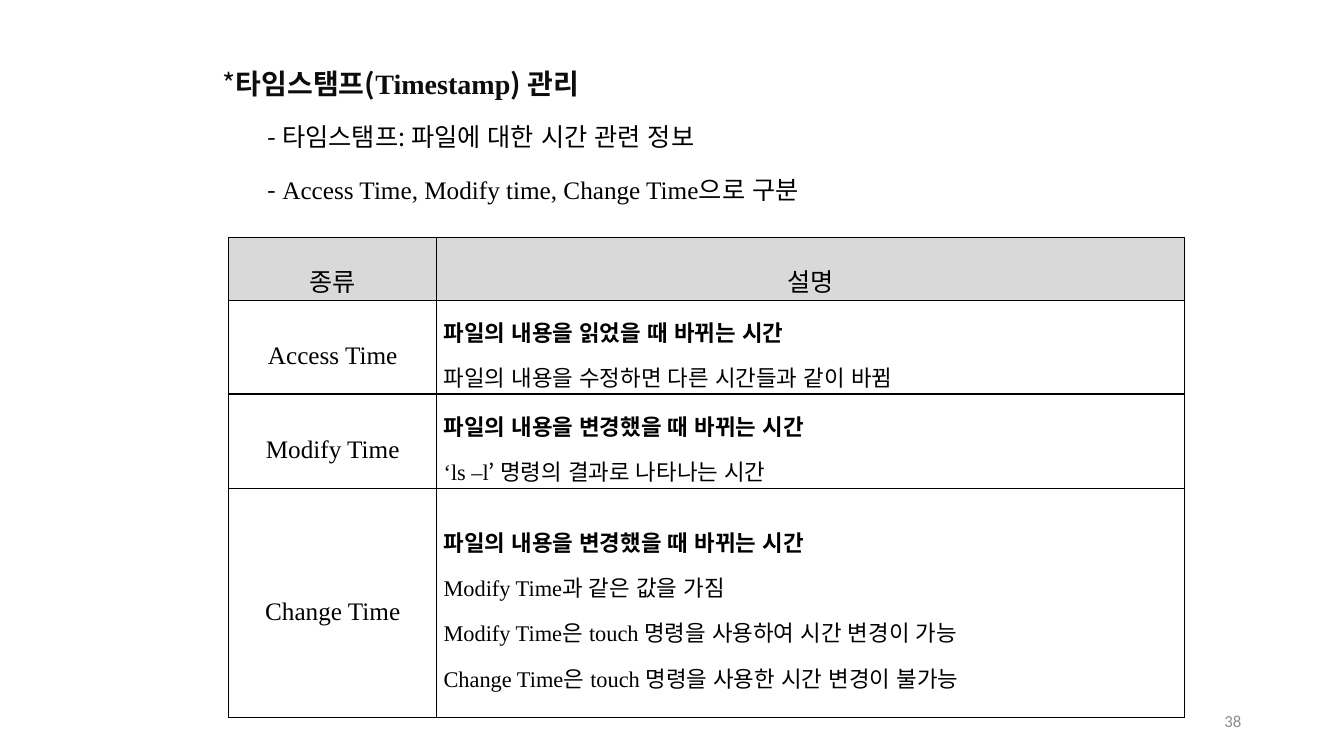
"""Build the timestamp management slide."""
import dataclasses
import typing

import lxml.etree
import pptx
import pptx.dml.color
import pptx.enum.lang
import pptx.enum.text
import pptx.oxml.ns
import pptx.util

PX = 9144
KOREAN, LATIN, NUMBER = "Noto Sans CJK KR", "Times New Roman", "Calibri"
ALIGN = pptx.enum.text.PP_ALIGN
MIDDLE = pptx.enum.text.MSO_ANCHOR.MIDDLE


@dataclasses.dataclass(frozen=True)
class Para:
    """A paragraph whose odd parts between bars use the Latin font."""
    text: str
    size: int
    bold: bool = False
    color: str = "000000"
    align: typing.Any = ALIGN.JUSTIFY
    spacing: float = 1.4
    before: int = 0
    indent: int = 0
    marker: str = ""
    font: str = KOREAN


@dataclasses.dataclass(frozen=True)
class Box:
    """A text box with its place in px."""
    left: int
    top: int
    width: int
    height: int
    paras: list[Para]
    anchor: typing.Any = pptx.enum.text.MSO_ANCHOR.TOP


@dataclasses.dataclass(frozen=True)
class TimeRow:
    """A table row with a kind, a bold summary and further details."""
    height: int
    kind: str
    summary: str
    details: list[str]


def px(n: int) -> int:
    """Turn px into EMU."""
    return pptx.util.Emu(n * PX)


def rgb(color: str) -> pptx.dml.color.RGBColor:
    """Turn a hex string into a colour."""
    return pptx.dml.color.RGBColor.from_string(color)


def assign(target: typing.Any, values: dict[str, typing.Any]) -> None:
    """Set each format value on the target."""
    for name, value in values.items():
        setattr(target, name, value)


def add_run(p: typing.Any, text: str, para: Para, font: str, bold: bool) -> None:
    """Add one unkerned run with matching Latin and East Asian fonts."""
    r = p.add_run()
    r.text = text
    assign(r.font, {"name": font, "size": pptx.util.Pt(para.size), "bold": bold,
                    "language_id": pptx.enum.lang.MSO_LANGUAGE_ID.KOREAN})
    r.font.color.rgb = rgb(para.color)
    rPr = r._r.get_or_add_rPr()
    rPr.set("kern", "0")
    lxml.etree.SubElement(rPr, pptx.oxml.ns.qn("a:ea"), typeface=font)


def write(tf: typing.Any, paras: list[Para]) -> None:
    """Fill a text frame with paragraphs."""
    for i, para in enumerate(paras):
        p = tf.add_paragraph() if i else tf.paragraphs[0]
        assign(p, {"alignment": para.align, "line_spacing": para.spacing,
                   "space_before": pptx.util.Pt(para.before)})
        pPr = p._p.get_or_add_pPr()
        pPr.set("marL", str(px(para.indent)))
        pPr.set("indent", "0")
        if para.marker:
            add_run(p, para.marker, para, para.font, False)
        for n, part in enumerate(para.text.split("|")):
            if part:
                add_run(p, part, para, LATIN if n % 2 else para.font, para.bold)


def add_box(s: typing.Any, box: Box) -> None:
    """Add a text box."""
    sp = s.shapes.add_textbox(*map(px, (box.left, box.top, box.width, box.height)))
    assign(sp.text_frame, {"word_wrap": True, "vertical_anchor": box.anchor})
    write(sp.text_frame, box.paras)


def fill_cell(cell: typing.Any, paras: list[Para], fill: str = "") -> None:
    """Format one table cell and write its text."""
    assign(cell, {"vertical_anchor": MIDDLE, "margin_left": px(7), "margin_right": px(7),
                  "margin_top": px(2), "margin_bottom": px(2)})
    qn = pptx.oxml.ns.qn
    tcPr = cell._tc.get_or_add_tcPr()
    for side in "LRTB":
        ln = lxml.etree.SubElement(tcPr, qn(f"a:ln{side}"), w=str(pptx.util.Pt(1)))
        solid = lxml.etree.SubElement(ln, qn("a:solidFill"))
        lxml.etree.SubElement(solid, qn("a:srgbClr"), val="000000")
    if fill:
        cell.fill.solid()
        cell.fill.fore_color.rgb = rgb(fill)
    else:
        cell.fill.background()
    write(cell.text_frame, paras)


def label(text: str) -> Para:
    """Make a centred table label."""
    return Para(text, 18, align=ALIGN.CENTER, spacing=1.6)


def add_times(s: typing.Any, rows: list[TimeRow]) -> None:
    """Add the table of time kinds."""
    widths, head = (206, 742), 62
    height = head + sum(row.height for row in rows)
    frame = s.shapes.add_table(len(rows) + 1, 2, *map(px, (227, 236, sum(widths), height)))
    table = frame.table
    assign(table, {"first_row": False, "horz_banding": False})
    for column, width in zip(table.columns, widths):
        column.width = px(width)
    table.rows[0].height = px(head)
    for c, text in enumerate(("종류", "설명")):
        fill_cell(table.cell(0, c), [label(text)], "D9D9D9")
    for i, row in enumerate(rows, 1):
        table.rows[i].height = px(row.height)
        fill_cell(table.cell(i, 0), [label(f"|{row.kind}")])
        details = [Para(text, 16) for text in row.details]
        fill_cell(table.cell(i, 1), [Para(row.summary, 16, bold=True), *details])


def bullet(text: str) -> Para:
    """Make an indented line under the heading."""
    return Para(text, 18, spacing=1.5, before=5, indent=51)


BOXES = [
    Box(205, 44, 866, 177, [
        Para("타임스탬프(|Timestamp|) 관리", 20, bold=True, color="0D0D0D",
             spacing=1.5, before=10, indent=6, marker="*"),
        bullet("- 타임스탬프: 파일에 대한 시간 관련 정보"),
        bullet("- |Access Time, Modify time, Change Time|으로 구분"),
    ]),
    Box(941, 695, 300, 40, [
        Para("38", 12, color="8C8C8C", align=ALIGN.RIGHT, spacing=1.0, font=NUMBER),
    ], MIDDLE),
]
CHANGED = "파일의 내용을 변경했을 때 바뀌는 시간"
TIMES = [
    TimeRow(93, "Access Time", "파일의 내용을 읽었을 때 바뀌는 시간",
            ["파일의 내용을 수정하면 다른 시간들과 같이 바뀜"]),
    TimeRow(94, "Modify Time", CHANGED, ["|‘ls –l|’ 명령의 결과로 나타나는 시간"]),
    TimeRow(227, "Change Time", CHANGED, [
        "|Modify Time|과 같은 값을 가짐",
        "|Modify Time|은 |touch |명령을 사용하여 시간 변경이 가능",
        "|Change Time|은 |touch |명령을 사용한 시간 변경이 불가능",
    ]),
]


def main() -> None:
    """Build and save the slide."""
    prs = pptx.Presentation()
    assign(prs, {"slide_width": px(1333), "slide_height": px(750)})
    s = prs.slides.add_slide(prs.slide_layouts[6])
    for box in BOXES:
        add_box(s, box)
    add_times(s, TIMES)
    prs.save("out.pptx")


if __name__ == "__main__":
    main()
